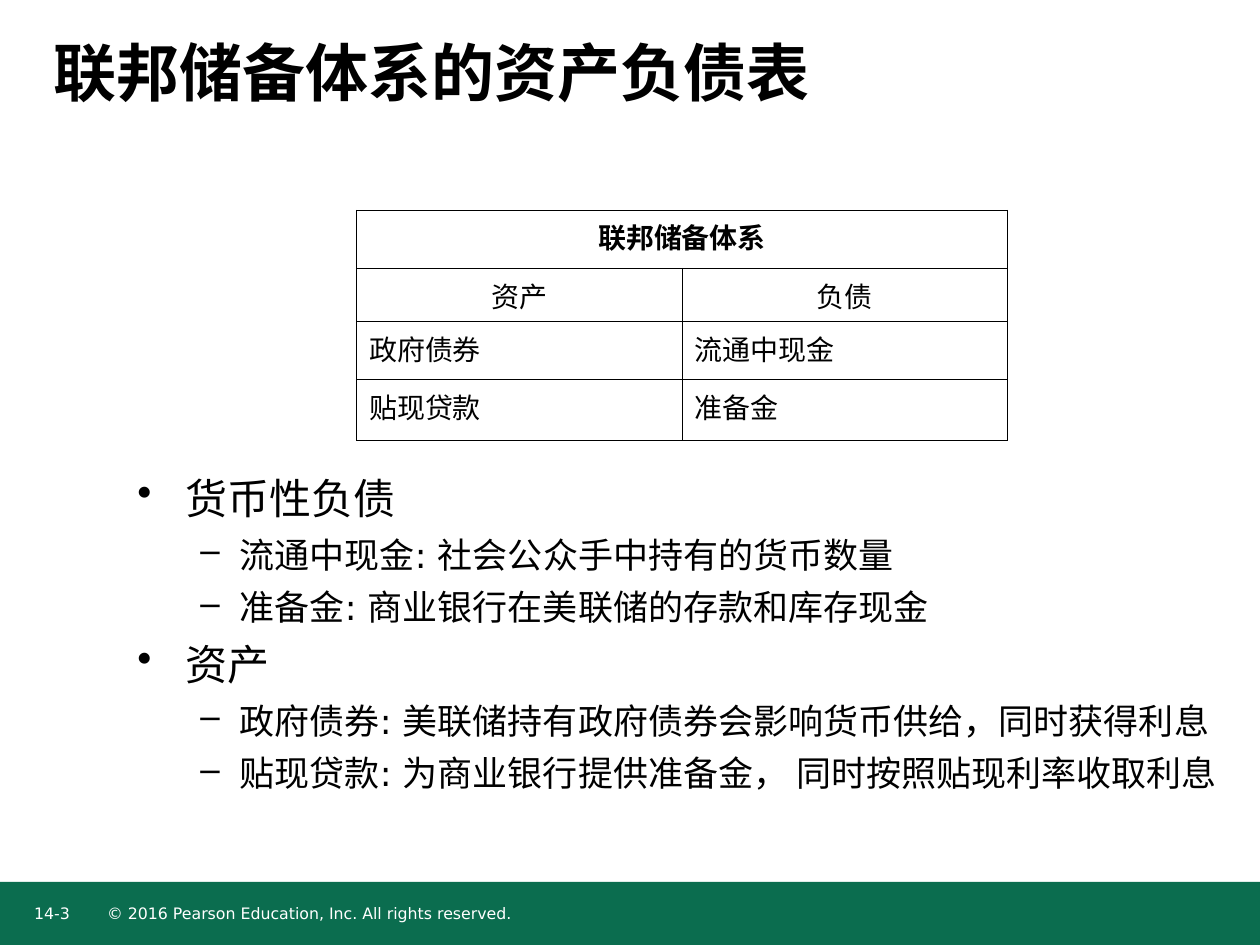
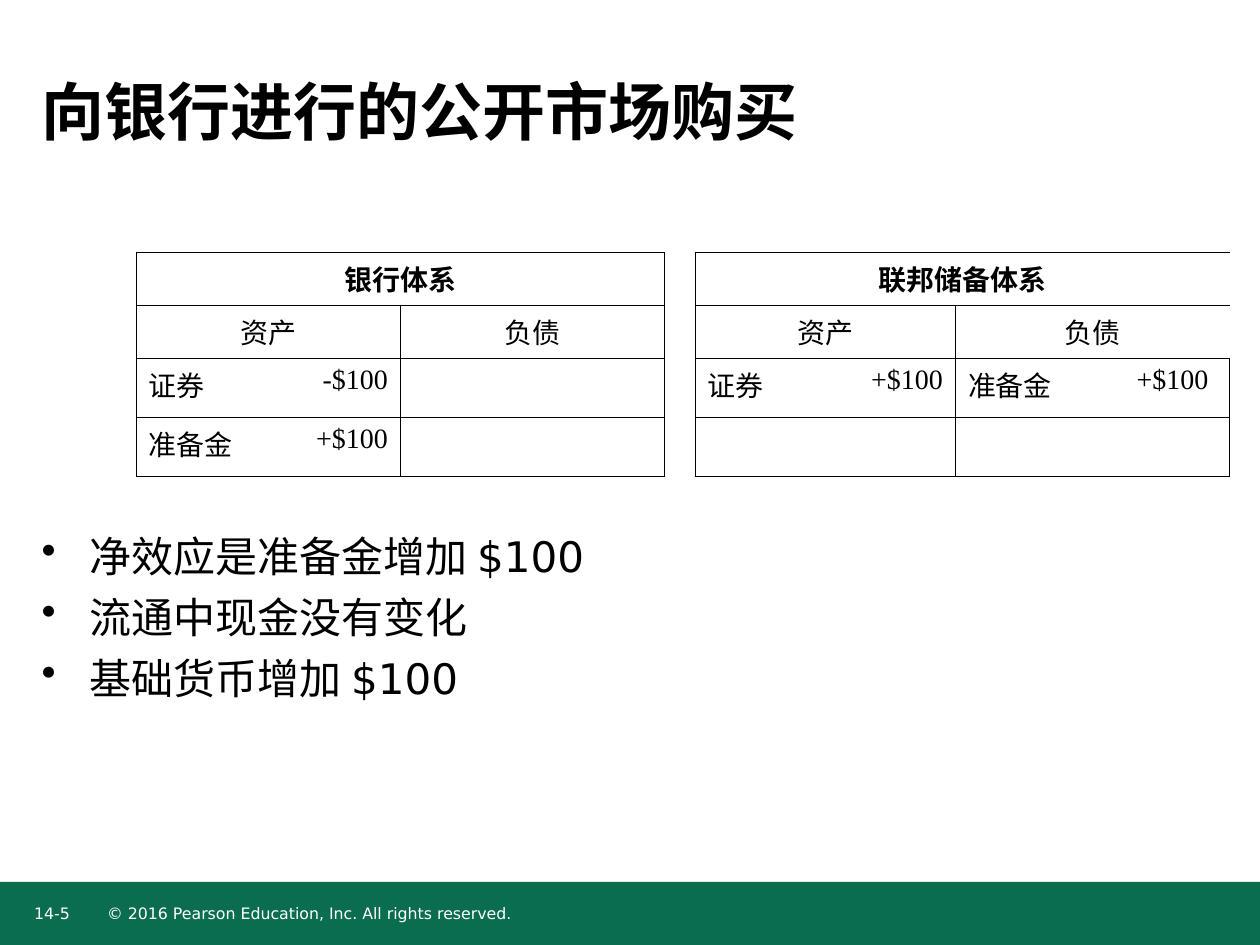
from pptx import Presentation
from pptx.dml.color import RGBColor
from pptx.enum.lang import MSO_LANGUAGE_ID
from pptx.enum.shapes import MSO_SHAPE
from pptx.enum.text import MSO_ANCHOR, MSO_AUTO_SIZE, PP_ALIGN
from pptx.oxml.ns import qn
from pptx.util import Cm, Pt
from lxml import etree

LEFT, CENTER, RIGHT = PP_ALIGN.LEFT, PP_ALIGN.CENTER, PP_ALIGN.RIGHT
CHINESE = MSO_LANGUAGE_ID.SIMPLIFIED_CHINESE
RECTANGLE = MSO_SHAPE.RECTANGLE
MIDDLE, TOP = MSO_ANCHOR.MIDDLE, MSO_ANCHOR.TOP
NO_AUTOFIT = MSO_AUTO_SIZE.NONE

BLACK = RGBColor(0x00, 0x00, 0x00)
WHITE = RGBColor(0xFF, 0xFF, 0xFF)
GREEN = RGBColor(0x0B, 0x6D, 0x4F)

SANS, SERIF = "DejaVu Sans", "Times New Roman"
TITLE_FONT = {"name": SANS, "size": Pt(36), "bold": True}
FOOTER_FONT = {"name": SANS, "size": Pt(9)}
CELL_FONT = {"name": SERIF, "size": Pt(16), "bold": False}
HEADING_FONT = {**CELL_FONT, "bold": True}

# For each bullet level: sign, left margin, hanging indent, text size
BULLET_LEVELS = [("•", 0.97, 0.97, 24), ("–", 2.06, 0.79, 20)]
BORDER_WIDTH = Pt(0.5)
COPYRIGHT = "© 2016 Pearson Education, Inc. All rights reserved."

# Boxes are left, top, width, height in centimetres.
# Table entries are text, alignment, columns spanned.
SLIDES = [
    {
        "number": "14-3",
        "title": "联邦储备体系的资产负债表",
        "title_box": (1.07, 0.05, 23.5, 2.77),
        "table": {
            "corner": (7.19, 4.24),
            "columns": [6.56, 6.56],
            "heights": [1.17, 1.07, 1.17, 1.22],
            "ruled_edges": {0, 1, 2},
            "gap": None,
            "rows": [
                [("联邦储备体系", CENTER, 2)],
                [("资产", CENTER, 1), ("负债", CENTER, 1)],
                [("政府债券", LEFT, 1), ("流通中现金", LEFT, 1)],
                [("贴现贷款", LEFT, 1), ("准备金", LEFT, 1)],
            ],
        },
        "bullets_box": (2.77, 9.52, 21.97, 7.82),
        "bullets": [
            (0, "货币性负债"),
            (1, "流通中现金: 社会公众手中持有的货币数量"),
            (1, "准备金: 商业银行在美联储的存款和库存现金"),
            (0, "资产"),
            (1, "政府债券: 美联储持有政府债券会影响货币供给，同时获得利息"),
            (1, "贴现贷款: 为商业银行提供准备金， 同时按照贴现利率收取利息"),
        ],
    },
    {
        "number": "14-5",
        "title": "向银行进行的公开市场购买",
        "title_box": (0.84, 0.84, 21.59, 2.77),
        "table": {
            "corner": (2.74, 5.08),
            "columns": [3.2, 2.13, 3.4, 1.93, 0.61, 3.12, 2.13, 3.4, 2.13],
            "heights": [1.07, 1.07, 1.19, 1.19],
            "ruled_edges": {0, 2, 4, 5, 7, 9},
            "gap": 4,
            "rows": [
                [("银行体系", CENTER, 4), ("", LEFT, 1),
                 ("联邦储备体系", CENTER, 4)],
                [("资产", CENTER, 2), ("负债", CENTER, 2), ("", LEFT, 1),
                 ("资产", CENTER, 2), ("负债", CENTER, 2)],
                [("证券", LEFT, 1), ("-$100", RIGHT, 1), ("", LEFT, 3),
                 ("证券", LEFT, 1), ("+$100", RIGHT, 1),
                 ("准备金", LEFT, 1), ("+$100", LEFT, 1)],
                [("准备金", LEFT, 1), ("+$100", RIGHT, 1)],
            ],
        },
        "bullets_box": (0.84, 10.69, 23.7, 6.45),
        "bullets": [
            (0, "净效应是准备金增加 $100"),
            (0, "流通中现金没有变化"),
            (0, "基础货币增加 $100"),
        ],
    },
]


def set_values(target, values):
    for name, value in values.items():
        setattr(target, name, value)


def write(paragraph, text, font, color=BLACK, alignment=LEFT):
    paragraph.alignment = alignment
    run = paragraph.add_run()
    run.text = text
    set_values(run.font, {**font, "language_id": CHINESE})
    run.font.color.rgb = color


def prepare_frame(shape, anchor=TOP):
    """Wrap the text of a shape, without margins, and return its frame."""
    frame = shape.text_frame
    set_values(frame, {
        "word_wrap": True, "auto_size": NO_AUTOFIT, "vertical_anchor": anchor,
        "margin_left": 0, "margin_top": 0,
        "margin_right": 0, "margin_bottom": 0,
    })
    return frame


def add_text_frame(slide, box):
    return prepare_frame(slide.shapes.add_textbox(*map(Cm, box)))


def add_footer(slide, number):
    band = slide.shapes.add_shape(RECTANGLE, *map(Cm, (0, 17.78, 25.4, 1.27)))
    band.shadow.inherit = False
    band.fill.solid()
    band.fill.fore_color.rgb = GREEN
    band.line.fill.background()
    for text, left, width in [(COPYRIGHT, 2.16, 15), (number, 0.69, 1)]:
        frame = add_text_frame(slide, (left, 18.21, width, 0.5))
        write(frame.paragraphs[0], text, FOOTER_FONT, WHITE)


def set_title(slide, text, box):
    title = slide.shapes.title
    set_values(title, dict(zip(("left", "top", "width", "height"), map(Cm, box))))
    write(prepare_frame(title, MIDDLE).paragraphs[0], text, TITLE_FONT)


def add_bullets(slide, bullets, box):
    frame = add_text_frame(slide, box)
    for index, (level, text) in enumerate(bullets):
        paragraph = frame.add_paragraph() if index else frame.paragraphs[0]
        sign, margin, hanging, size = BULLET_LEVELS[level]
        paragraph.level = level
        properties = paragraph._p.get_or_add_pPr()
        properties.set("marL", str(Cm(margin)))
        properties.set("indent", str(-Cm(hanging)))
        etree.SubElement(properties, qn("a:buChar"), char=sign)
        if index:
            paragraph.space_before = Pt(6)
        write(paragraph, text, {"name": SANS, "size": Pt(size)})


def set_borders(cell, ruled_sides):
    """Rule the given sides (letters of LRTB) and clear the others."""
    properties = cell._tc.get_or_add_tcPr()
    for side in "LRTB":
        line = etree.SubElement(properties, qn(f"a:ln{side}"), w=str(BORDER_WIDTH))
        if side in ruled_sides:
            fill = etree.SubElement(line, qn("a:solidFill"))
            etree.SubElement(fill, qn("a:srgbClr"), val=str(BLACK))
        else:
            etree.SubElement(line, qn("a:noFill"))


def add_accounts(slide, corner, columns, heights, ruled_edges, gap, rows):
    """Add T-accounts; a gap column, if any, separates two of them."""
    size = (sum(columns), sum(heights))
    table = slide.shapes.add_table(
        len(heights), len(columns), *map(Cm, corner + size)).table
    table.first_row = table.horz_banding = False
    for column, width in zip(table.columns, columns):
        column.width = Cm(width)
    for row, height in zip(table.rows, heights):
        row.height = Cm(height)

    for row_index in range(len(heights)):
        for column_index in range(len(columns)):
            sides = "" if column_index == gap else "TB"
            sides += "L" if column_index in ruled_edges else ""
            sides += "R" if column_index + 1 in ruled_edges else ""
            cell = table.cell(row_index, column_index)
            set_borders(cell, sides)
            cell.fill.background()

    for row_index, entries in enumerate(rows):
        start = 0
        for text, alignment, span in entries:
            cell = table.cell(row_index, start)
            if text:
                font = CELL_FONT if row_index else HEADING_FONT
                write(cell.text_frame.paragraphs[0], text, font,
                      alignment=alignment)
                if span > 1:
                    cell.merge(table.cell(row_index, start + span - 1))
            start += span
    if gap is not None:
        table.cell(0, gap).merge(table.cell(2, gap))


def main():
    presentation = Presentation()
    presentation.slide_width, presentation.slide_height = Cm(25.4), Cm(19.05)
    title_only = presentation.slide_layouts[5]
    for content in SLIDES:
        slide = presentation.slides.add_slide(title_only)
        add_footer(slide, content["number"])
        set_title(slide, content["title"], content["title_box"])
        add_bullets(slide, content["bullets"], content["bullets_box"])
        add_accounts(slide, **content["table"])
    presentation.save("out.pptx")


if __name__ == "__main__":
    main()
